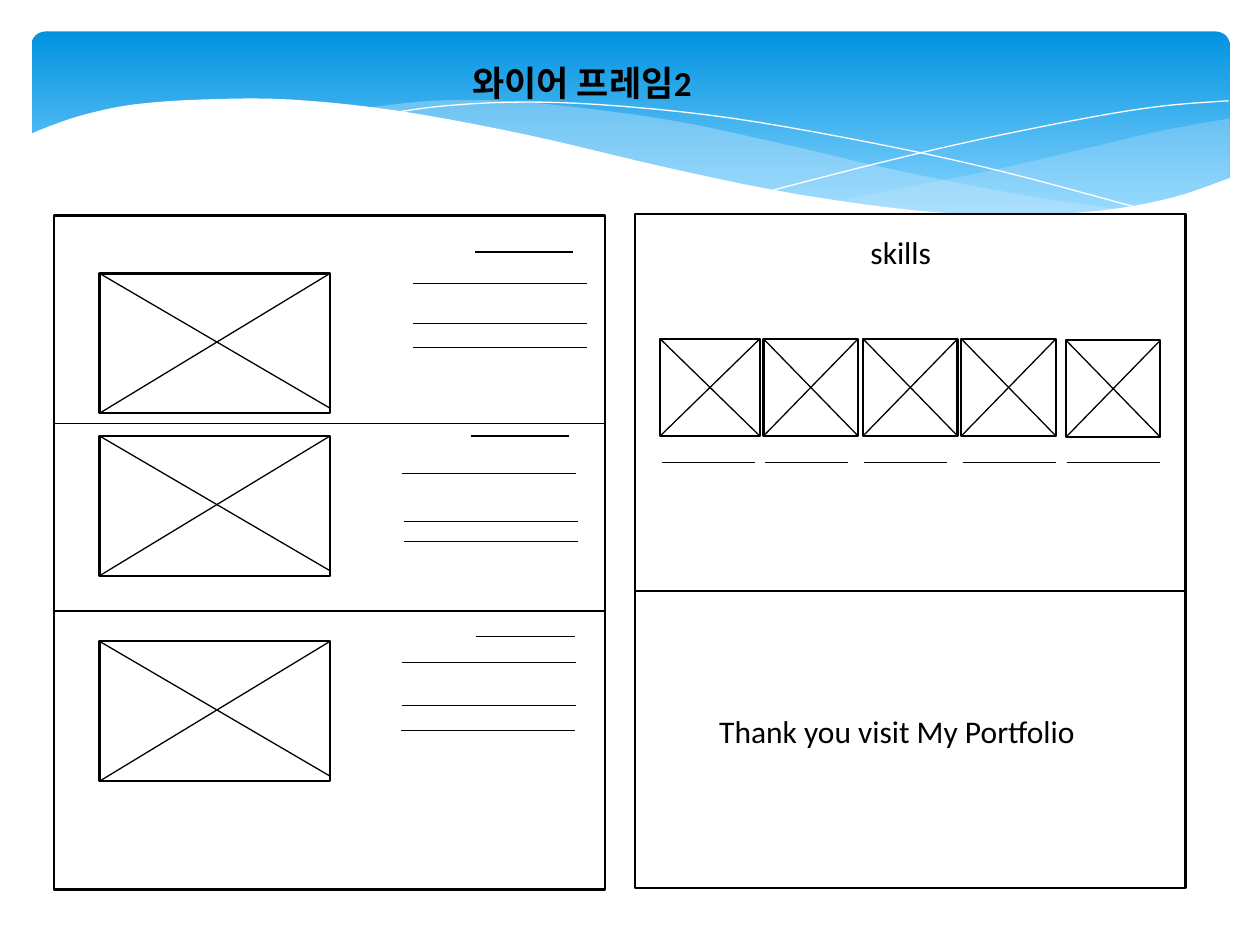
from lxml import etree
from pptx import Presentation
from pptx.dml.color import RGBColor
from pptx.enum.shapes import MSO_CONNECTOR as Connector, MSO_SHAPE as Shape
from pptx.enum.text import MSO_AUTO_SIZE as AutoSize
from pptx.oxml.ns import qn
from pptx.util import Inches, Pt

BLACK = RGBColor(0x00, 0x00, 0x00)
WHITE = RGBColor(0xFF, 0xFF, 0xFF)
SKY_TOP = RGBColor(0x02, 0x93, 0xE0)
SKY_BOTTOM = RGBColor(0x83, 0xD3, 0xFE)
MIST = RGBColor(0xC6, 0xE7, 0xFC)


def curve(points, steps=5):
    """Sample a smooth Catmull-Rom curve through the given points."""
    padded = [points[0], *points, points[-1]]
    sampled = [points[0]]
    for a, b, c, d in zip(padded, padded[1:], padded[2:], padded[3:]):
        for step in range(1, steps + 1):
            t = step / steps
            sampled.append(tuple(
                0.5 * (2 * q + (r - p) * t + (2 * p - 5 * q + 4 * r - s) * t ** 2
                       + (3 * q - p - 3 * r + s) * t ** 3)
                for p, q, r, s in zip(a, b, c, d)))
    return sampled


def add_wave(slide, left, top, points, closed=True, color=WHITE, alpha=None):
    corners = [(Inches(left + x), Inches(top + y)) for x, y in points]
    builder = slide.shapes.build_freeform(*corners[0])
    builder.add_line_segments(corners[1:], close=closed)
    wave = builder.convert_to_shape()
    wave.shadow.inherit = False
    if not closed:
        wave.fill.background()
        wave.line.color.rgb = color
        wave.line.width = Pt(0)
        return
    wave.fill.solid()
    wave.fill.fore_color.rgb = color
    wave.line.fill.background()
    if alpha:
        tint = wave.fill._xPr.find(qn("a:solidFill"))[0]
        etree.SubElement(tint, qn("a:alpha"), val=str(alpha * 1000))


def add_box(slide, left, top, width, height):
    box = slide.shapes.add_shape(Shape.RECTANGLE, Inches(left), Inches(top),
                                 Inches(width), Inches(height))
    box.shadow.inherit = False
    box.fill.solid()
    box.fill.fore_color.rgb = WHITE
    box.line.color.rgb = BLACK
    box.line.width = Pt(1.25)


def add_line(slide, x1, y1, x2, y2):
    line = slide.shapes.add_connector(Connector.STRAIGHT, Inches(x1), Inches(y1),
                                      Inches(x2), Inches(y2))
    line.line.color.rgb = BLACK
    line.line.width = Pt(0.75)
    etree.SubElement(line._element.spPr, qn("a:effectLst"))


def add_label(slide, left, top, width, height, text, wrap=False, **font_format):
    label = slide.shapes.add_textbox(Inches(left), Inches(top),
                                     Inches(width), Inches(height))
    frame = label.text_frame
    frame.word_wrap = wrap
    frame.auto_size = AutoSize.SHAPE_TO_FIT_TEXT
    run = frame.paragraphs[0].add_run()
    run.text = text
    run.font.color.rgb = BLACK
    for name, value in {"name": "Calibri", "size": Pt(18), **font_format}.items():
        setattr(run.font, name, value)


def add_placeholder_image(slide, left, top, width, height, inset=0):
    """Crossed box; the falling diagonal stops short of the corner by inset."""
    add_box(slide, left, top, width, height)
    add_line(slide, left, top, left + width, top + height - inset)
    add_line(slide, left, top + height, left + width, top)


def add_banner(slide, left, top, width, height):
    sky = slide.shapes.add_shape(Shape.ROUNDED_RECTANGLE, Inches(left), Inches(top),
                                 Inches(width), Inches(height))
    sky.adjustments[0] = 0.071
    sky.shadow.inherit = False
    sky.line.fill.background()
    sky.fill.gradient()
    sky.fill.gradient_angle = 270
    for stop, position, color in zip(sky.fill.gradient_stops, (0, 0.9),
                                     (SKY_TOP, SKY_BOTTOM)):
        stop.position = position
        stop.color.rgb = color

    # Translucent waves
    right_wave = (
        curve([(9.51, 0.69), (8.96, 0.79), (8.36, 0.93), (7.54, 1.12), (6.36, 1.35)])
        + curve([(6.36, 1.35), (7.07, 1.43), (7.67, 1.47), (8.19, 1.46),
                 (8.64, 1.41), (9.03, 1.33), (9.51, 1.16)]))
    centre_wave = (
        curve([(8.68, 1.42), (7.82, 1.29), (6.81, 1.09), (6.04, 0.91), (5.16, 0.72),
               (4.4, 0.61), (3.74, 0.55), (3.19, 0.55), (2.61, 0.61)])
        + curve([(2.61, 0.61), (3.37, 0.72), (4.24, 0.91), (5.41, 1.18), (6.4, 1.38),
                 (7.23, 1.46), (7.93, 1.48), (8.68, 1.42)]))
    add_wave(slide, left, top, right_wave, color=MIST, alpha=29)
    add_wave(slide, left, top, centre_wave, color=MIST, alpha=40)

    # Hairline arcs
    for arc in (
        [(2.84, 0.65), (3.28, 0.59), (3.91, 0.56), (4.64, 0.59), (5.57, 0.69),
         (6.7, 0.89), (7.7, 1.11), (8.82, 1.41)],
        [(5.88, 1.26), (6.7, 1.05), (7.51, 0.86), (8.41, 0.68), (8.99, 0.59), (9.5, 0.55)],
    ):
        add_wave(slide, left, top, curve(arc), closed=False)

    # White foreground wave
    crest = curve([(9.52, 1.16), (9.05, 1.32), (8.5, 1.42), (7.84, 1.46), (7.01, 1.42),
                   (6.01, 1.28), (5.04, 1.08), (3.93, 0.82), (2.91, 0.63), (2.05, 0.54),
                   (1.36, 0.54), (0.81, 0.58), (0.42, 0.66), (0.15, 0.75), (-0.02, 0.82)])
    add_wave(slide, left, top, crest + [(-0.02, 1.99), (9.52, 1.99)])


def add_skills_panel(slide, left, top, width, height):
    add_box(slide, left, top, width, height)
    add_label(slide, left + 1.77, top + 0.1, 0.71, 0.4, "skills")

    # Skill icons, each with a caption line: x, y, width, caption width
    for x, y, icon_width, caption in (
        (0.2, 0.99, 0.79, 0.74), (1.02, 0.99, 0.75, 0.66), (1.81, 0.99, 0.75, 0.66),
        (2.59, 0.99, 0.75, 0.74), (3.42, 1, 0.75, 0.74),
    ):
        add_placeholder_image(slide, left + x, top + y, icon_width, 0.77)
        add_line(slide, left + x + 0.01, top + 1.97, left + x + 0.01 + caption, top + 1.97)

    # Closing message
    add_line(slide, left, top + 2.99, left + width, top + 2.99)
    add_label(slide, left + 0.57, top + 3.9, 3.16, 0.4, "Thank you visit My Portfolio")


def add_projects_panel(slide, left, top, width, height):
    add_box(slide, left, top, width, height)

    # Projects: image top, heading line (x, y), then text lines (x, y)
    projects = (
        (0.46, (3.34, 0.29), ((2.85, 0.54), (2.85, 0.86), (2.85, 1.05))),
        (1.75, (3.31, 1.75), ((2.76, 2.05), (2.78, 2.43), (2.78, 2.59))),
        (3.38, (3.35, 3.34), ((2.76, 3.55), (2.76, 3.89), (2.75, 4.09))),
    )
    for image_top, heading, body in projects:
        add_placeholder_image(slide, left + 0.36, top + image_top, 1.83, 1.11, inset=0.04)
        for (x, y), length in [(heading, 0.78), *((spot, 1.38) for spot in body)]:
            add_line(slide, left + x, top + y, left + x + length, top + y)

    # Dividers between projects
    for y in (1.65, 3.14):
        add_line(slide, left, top + y, left + width, top + y)


def main():
    prs = Presentation()
    prs.slide_width, prs.slide_height = Inches(10), Inches(7.5)
    slide = prs.slides.add_slide(prs.slide_layouts[6])

    add_banner(slide, 0.25, 0.25, 9.51, 1.56)
    add_label(slide, 3.65, 0.44, 2.76, 0.44, "와이어 프레임2", wrap=True,
              size=Pt(20), bold=True)
    add_skills_panel(slide, 5.04, 1.7, 4.37, 5.35)
    add_projects_panel(slide, 0.43, 1.71, 4.37, 5.35)

    prs.save("out.pptx")


if __name__ == "__main__":
    main()
